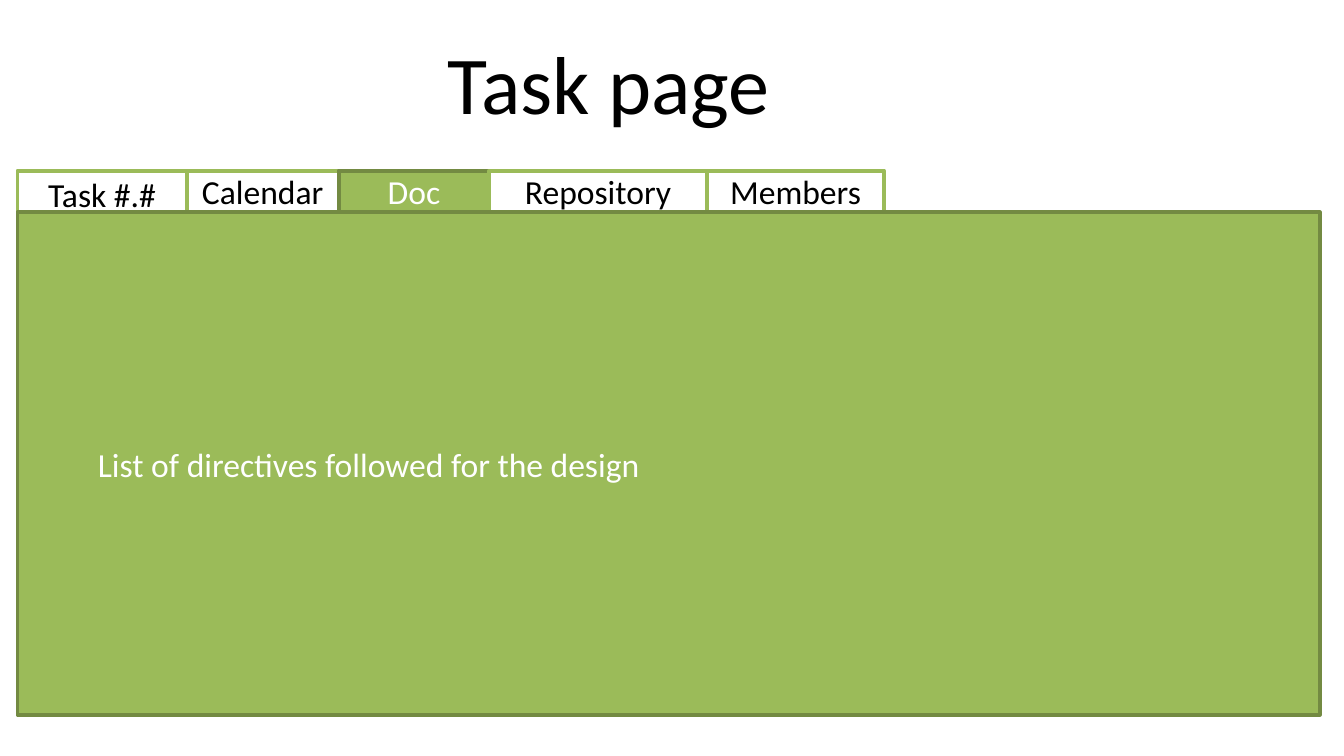
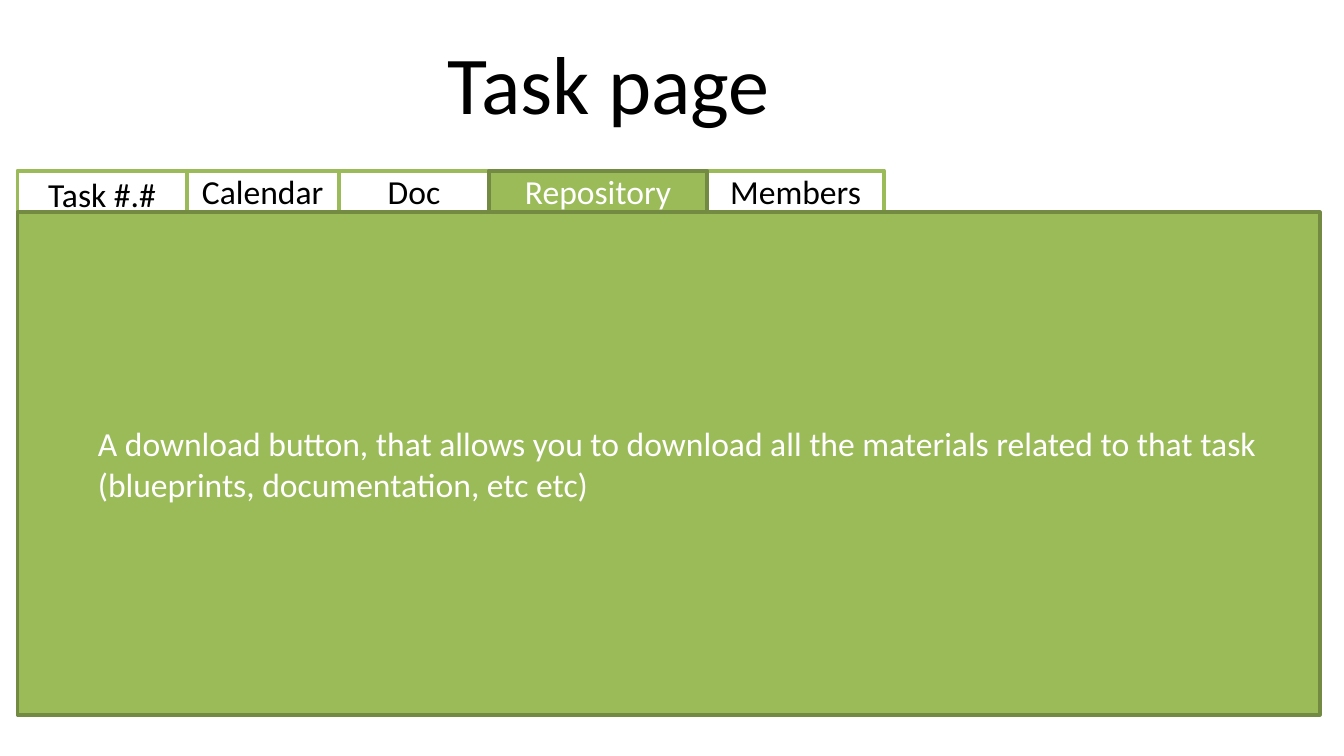
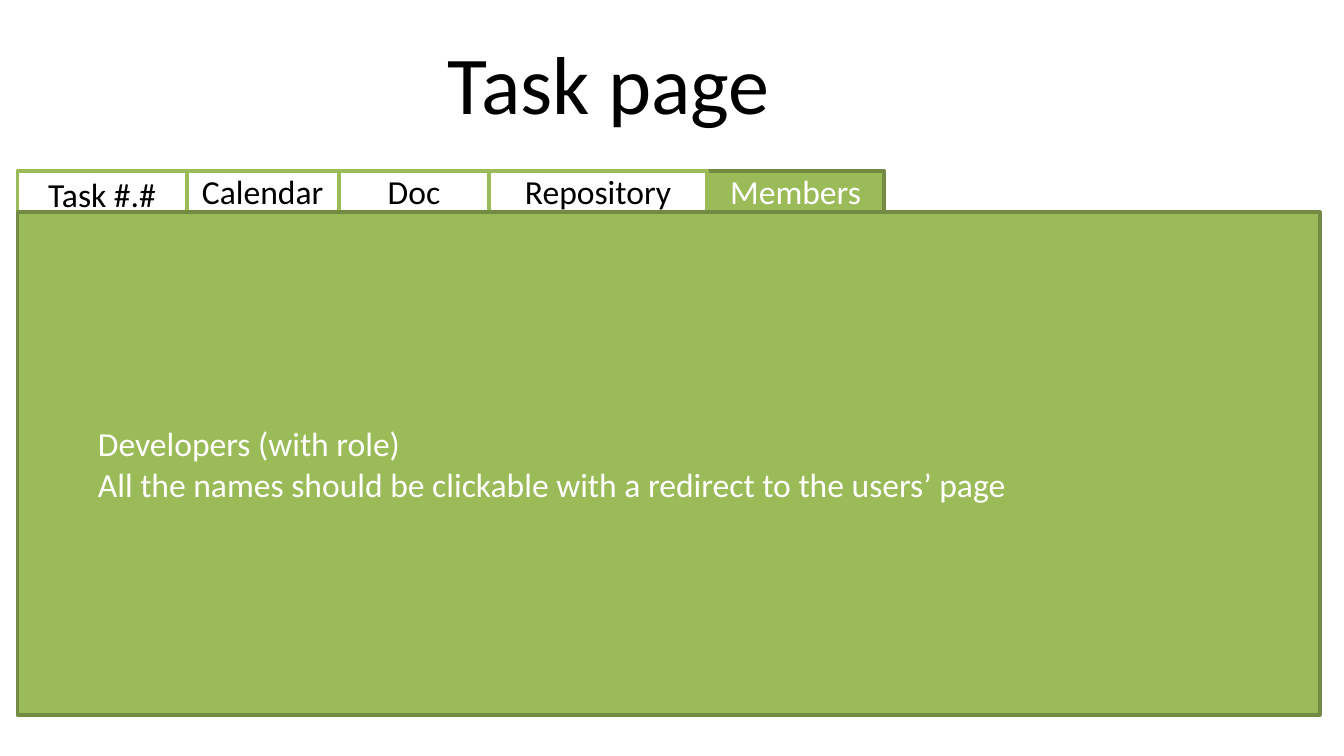
from dataclasses import dataclass
from itertools import accumulate

from pptx import Presentation
from pptx.dml.color import RGBColor
from pptx.enum.shapes import MSO_SHAPE
from pptx.enum.text import MSO_ANCHOR, PP_ALIGN
from pptx.util import Inches, Pt

RECT = MSO_SHAPE.RECTANGLE
MIDDLE = MSO_ANCHOR.MIDDLE
CENTER = PP_ALIGN.CENTER
LEFT = PP_ALIGN.LEFT


@dataclass(frozen=True)
class Theme:
    """Colours, font and type sizes shared by the slides."""
    font: str = "Calibri"
    black: RGBColor = RGBColor(0, 0, 0)
    white: RGBColor = RGBColor(255, 255, 255)
    green: RGBColor = RGBColor.from_string("9BBB59")
    dark: RGBColor = RGBColor.from_string("738A42")
    title: Pt = Pt(44)
    body: Pt = Pt(18)
    line: Pt = Pt(2)


THEME = Theme()
TITLE = "Task page"
TITLE_BOX = (0.5, 0.14, 8.06, 0.94)
TAB_BOX = (0.13, 1.27, 6.45, 0.31)
PANEL_BOX = (0.13, 1.58, 9.69, 3.74)
FIRST_TALL = 0.35
TABS = {"Task #.#": 1.26, "Calendar": 1.13, "Doc": 1.12,
        "Repository": 1.62, "Members": 1.32}
STACK = ("Task #.#", "Members", "Calendar", "Doc", "Repository")
PAGES = (
    ("Doc", ["List of directives followed for the design"]),
    ("Repository", ["A download button, that allows you to download all the "
                    "materials related to that task (blueprints, "
                    "documentation, etc etc)"]),
    ("Members", ["Developers (with role)",
                 "All the names should be clickable with a redirect to "
                 "the users’ page"]),
)


def write(shape, lines, size, color, align=CENTER, level=0):
    """Fill a shape with evenly styled paragraphs."""
    frame = shape.text_frame
    frame.word_wrap = True
    frame.vertical_anchor = MIDDLE
    frame.text = "\n".join(lines)
    for para in frame.paragraphs:
        para.alignment = align
        para.level = level
        para.font.name = THEME.font
        para.font.size = size
        para.font.color.rgb = color


def add_box(slide, box, active):
    """Add a bordered rectangle in its active or idle colours."""
    shape = slide.shapes.add_shape(RECT, *map(Inches, box))
    shape.shadow.inherit = False
    shape.fill.solid()
    shape.fill.fore_color.rgb = THEME.green if active else THEME.white
    shape.line.color.rgb = THEME.dark if active else THEME.green
    shape.line.width = THEME.line
    return shape


def add_title(slide, box):
    """Add the page title."""
    shape = slide.shapes.add_textbox(*map(Inches, box))
    write(shape, [TITLE], THEME.title, THEME.black)


def add_tabs(slide, box, current):
    """Add the row of tabs with the current one lit."""
    left, top, _, height = box
    lefts = dict(zip(TABS, accumulate(TABS.values(), initial=left)))
    for name in STACK:
        active = name == current
        tall = FIRST_TALL if name == STACK[0] else height
        shape = add_box(slide, (lefts[name], top, TABS[name], tall), active)
        color = THEME.white if active else THEME.black
        write(shape, [name], THEME.body, color)


def add_panel(slide, box, lines):
    """Add the content panel below the tabs."""
    shape = add_box(slide, box, True)
    write(shape, lines, THEME.body, THEME.white, LEFT, level=1)


def add_page(deck, current, lines):
    """Add one task page."""
    slide = deck.slides.add_slide(deck.slide_layouts[6])
    add_title(slide, TITLE_BOX)
    add_tabs(slide, TAB_BOX, current)
    add_panel(slide, PANEL_BOX, lines)


def main():
    """Build and save the deck."""
    deck = Presentation()
    deck.slide_width = Inches(10)
    deck.slide_height = deck.slide_width * 9 // 16
    for current, lines in PAGES:
        add_page(deck, current, lines)
    deck.save("out.pptx")


if __name__ == "__main__":
    main()
